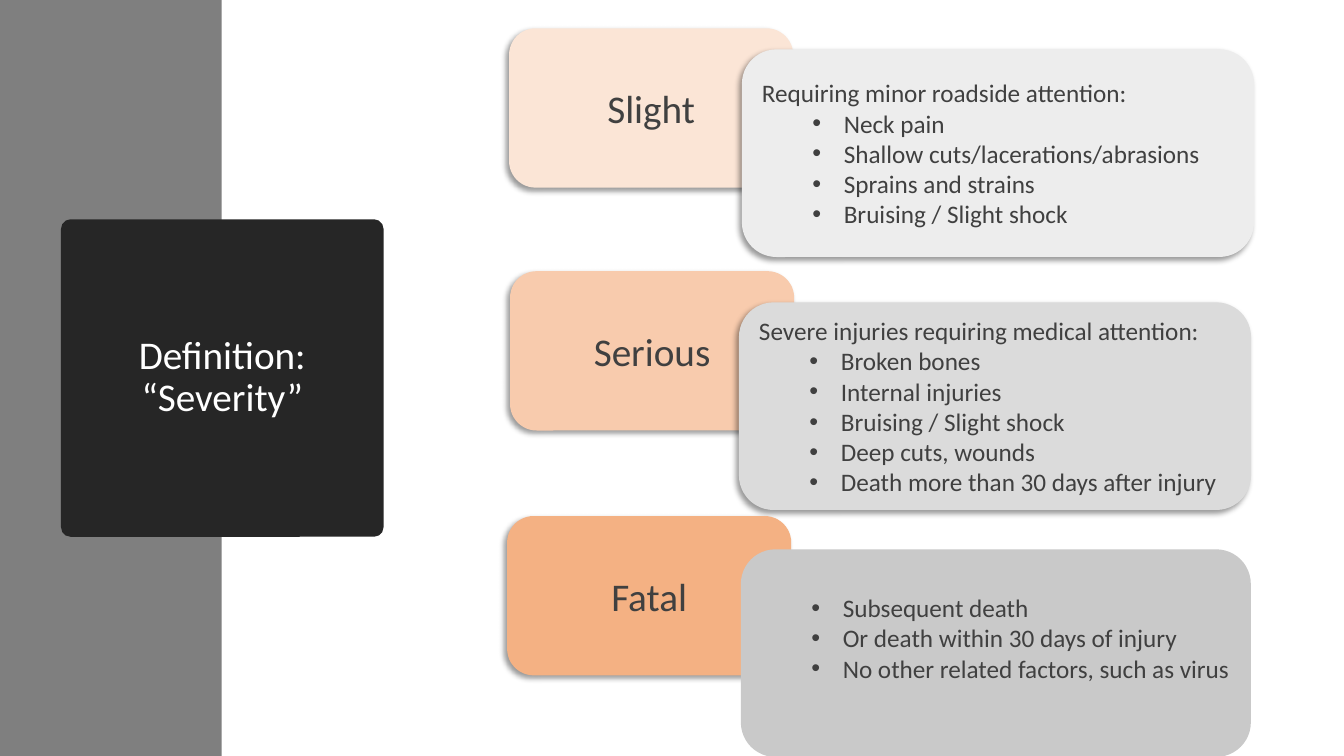
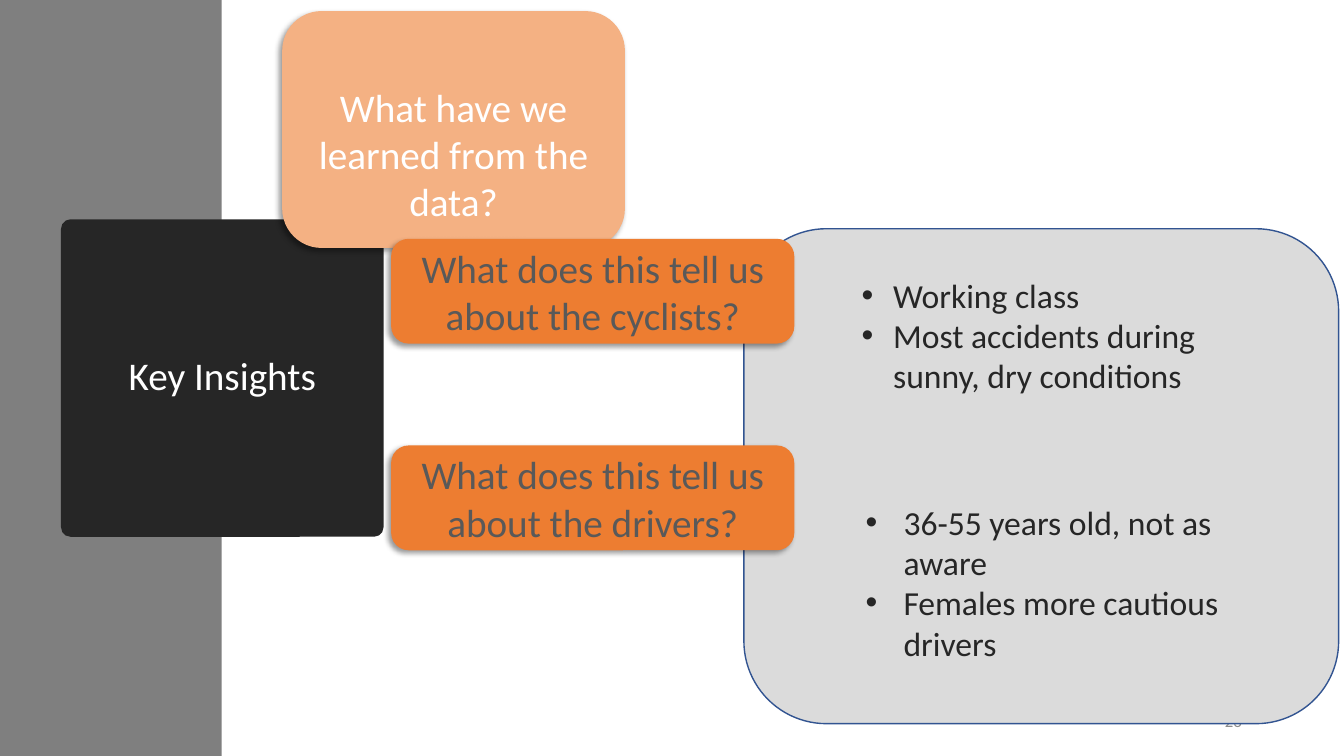
from lxml import etree
from pptx import Presentation
from pptx.dml.color import RGBColor
from pptx.enum.shapes import MSO_SHAPE
from pptx.enum.text import MSO_ANCHOR, PP_ALIGN
from pptx.oxml.ns import qn
from pptx.util import Pt

RECT = MSO_SHAPE.RECTANGLE
ROUND = MSO_SHAPE.ROUNDED_RECTANGLE
TOP, MIDDLE = MSO_ANCHOR.TOP, MSO_ANCHOR.MIDDLE
LEFT, CENTER, RIGHT = PP_ALIGN.LEFT, PP_ALIGN.CENTER, PP_ALIGN.RIGHT

FONT = "Calibri"
WHITE = RGBColor(0xFF, 0xFF, 0xFF)
BAND = RGBColor(0x7F, 0x7F, 0x7F)
DARK = RGBColor(0x26, 0x26, 0x26)
INK = RGBColor(0x40, 0x40, 0x40)
SLATE = RGBColor(0x59, 0x59, 0x59)
PALE = RGBColor(0x8C, 0x8C, 0x8C)
BLUE = RGBColor(0x32, 0x54, 0x91)
CREAM = RGBColor(0xFB, 0xE5, 0xD6)
PEACH = RGBColor(0xF8, 0xCB, 0xAD)
APRICOT = RGBColor(0xF4, 0xB1, 0x83)
ORANGE = RGBColor(0xED, 0x7D, 0x31)
MIST = RGBColor(0xED, 0xED, 0xED)
SILVER = RGBColor(0xDB, 0xDB, 0xDB)
GREY = RGBColor(0xC9, 0xC9, 0xC9)

LEVELS = [
    ("Slight", (363.6, 20.2), CREAM, (529.9, 35.3, 365.8), MIST,
     "Requiring minor roadside attention:",
     ["Neck pain", "Shallow cuts/lacerations/abrasions",
      "Sprains and strains", "Bruising / Slight shock"]),
    ("Serious", (364.3, 193.7), PEACH, (527.8, 216, 365.8), SILVER,
     "Severe injuries requiring medical attention:",
     ["Broken bones", "Internal injuries", "Bruising / Slight shock",
      "Deep cuts, wounds", "Death more than 30 days after injury"]),
    ("Fatal", (362.2, 368.6), APRICOT, (529.2, 392.4, 364.3), GREY, None,
     ["Subsequent death", "Or death within 30 days of injury",
      "No other related factors, such as virus"]),
]


def add_box(slide, kind, area, fill, line=None, shade=False):
    box = slide.shapes.add_shape(kind, *map(Pt, area))
    box.fill.solid()
    box.fill.fore_color.rgb = fill
    if line is None:
        box.line.fill.background()
    else:
        box.line.color.rgb = line
        box.line.width = Pt(1)
    box.shadow.inherit = False
    if shade:
        add_shade(box)
    return box


def add_shade(box):
    effects = box._element.spPr.find(qn("a:effectLst"))
    shade = etree.SubElement(
        effects, qn("a:outerShdw"), blurRad=str(Pt(4)), dist=str(Pt(3)),
        dir=str(135 * 60000), algn="tr", rotWithShape="0")
    color = etree.SubElement(shade, qn("a:srgbClr"), val="000000")
    etree.SubElement(color, qn("a:alpha"), val="40000")


def add_bullet(para, left, hang):
    props = para._p.get_or_add_pPr()
    props.set("marL", str(Pt(left)))
    props.set("indent", str(-Pt(hang)))
    etree.SubElement(props, qn("a:buFont"), typeface="Arial")
    etree.SubElement(props, qn("a:buChar"), char="•")


def set_text(box, lines, size, color, align=CENTER, anchor=MIDDLE):
    frame = box.text_frame
    frame.word_wrap = True
    frame.vertical_anchor = anchor
    frame.text = "\n".join(lines)
    for para in frame.paragraphs:
        para.alignment = align
        for run in para.runs:
            run.font.name = FONT
            run.font.size = Pt(size)
            run.font.color.rgb = color
    return frame


def add_note(slide, area, lines, size, color, **style):
    box = slide.shapes.add_textbox(*map(Pt, area))
    return set_text(box, lines, size, color, **style)


def add_list(slide, area, lines, indent):
    frame = add_note(slide, area, lines, 24, DARK, align=LEFT, anchor=TOP)
    for para in frame.paragraphs:
        add_bullet(para, indent, indent)


def add_base(deck, title):
    slide = deck.slides.add_slide(deck.slide_layouts[6])
    add_box(slide, RECT, (0, 0, 158.4, 540), BAND)
    box = add_box(slide, ROUND, (43.6, 156.6, 230.4, 226.8), DARK)
    box.adjustments[0] = 0.03
    frame = set_text(box, [title], 28, WHITE)
    frame.paragraphs[0].line_spacing = 0.9
    return slide


def add_label(slide, area, fill, text, color):
    box = add_box(slide, ROUND, area, fill, shade=True)
    return set_text(box, [text], 28, color)


def add_card(slide, place, fill, head, items):
    left, top, width = place
    box = add_box(slide, ROUND, (left, top, width, 148.3), fill,
                  shade=head is not None)
    heads = [head] if head else []
    frame = set_text(box, heads + items, 18, INK, align=LEFT)
    for para in frame.paragraphs[len(heads):]:
        add_bullet(para, 58.5, 22.5)
    if not heads:
        frame.margin_bottom = Pt(25.6)


def add_levels(deck):
    slide = add_base(deck, "Definition:\v“Severity”")
    for name, spot, tint, place, fill, head, items in LEVELS:
        add_label(slide, (*spot, 203, 113.8), tint, name, INK)
        add_card(slide, place, fill, head, items)


def add_insights(deck):
    slide = add_base(deck, "Key Insights")
    add_note(slide, (678.2, 500.4, 216, 28.8), ["23"], 12, PALE, align=RIGHT)
    frame = add_label(slide, (201.6, 7.9, 244.8, 169.2), APRICOT,
                      "What have we learned from the data?", WHITE)
    frame.margin_top = Pt(37.8)
    add_box(slide, ROUND, (531.4, 163.4, 424.8, 353.5), SILVER, BLUE)
    for top, group in ((170.6, "cyclists"), (318.2, "drivers")):
        add_label(slide, (279.4, top, 288, 74.9), ORANGE,
                  f"What does this tell us about the {group}?", SLATE)
    add_list(slide, (608.4, 192.7, 270.7, 145),
             ["Working class", "Most accidents during sunny, dry conditions"],
             22.5)
    add_list(slide, (611.3, 354.7, 270.7, 123.4),
             ["36-55 years old, not as aware", "Females more cautious drivers"],
             27)


def main():
    deck = Presentation()
    deck.slide_width = Pt(960)
    deck.slide_height = Pt(540)
    add_levels(deck)
    add_insights(deck)
    deck.save("out.pptx")


if __name__ == "__main__":
    main()
